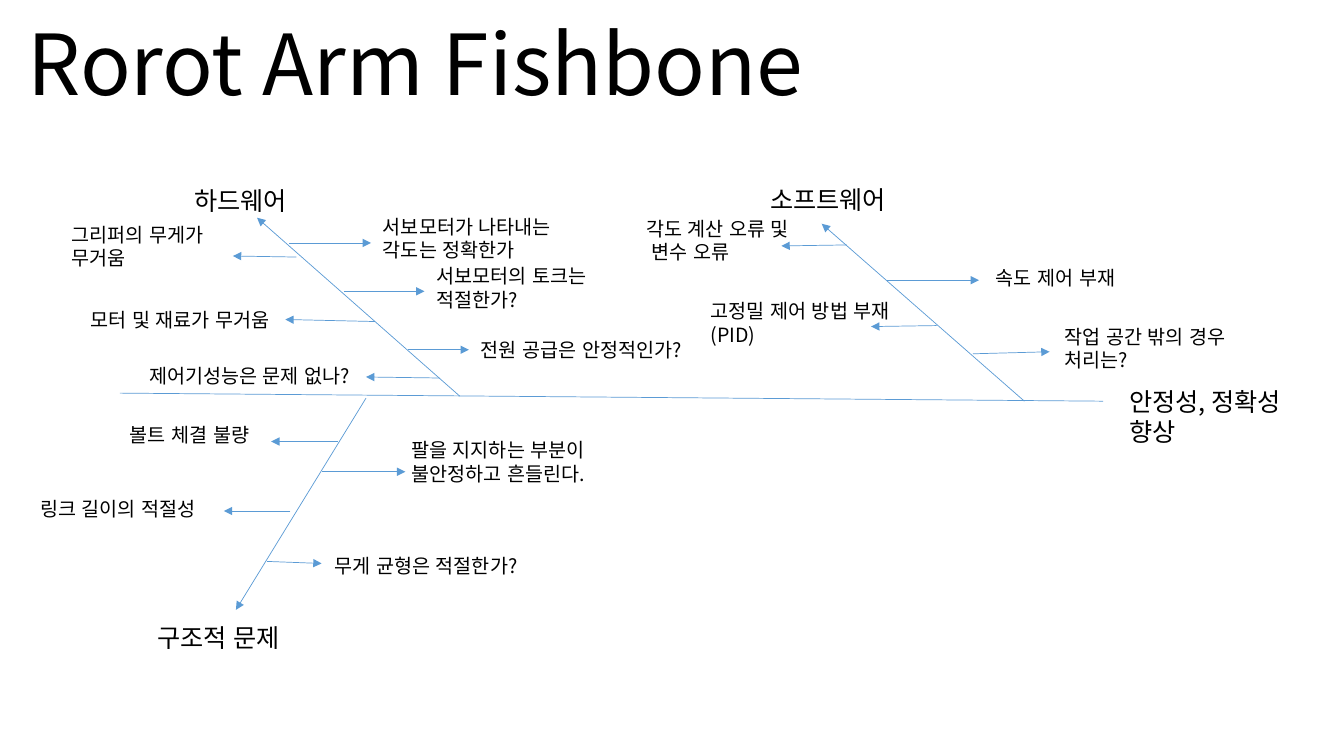
from lxml.etree import SubElement
from pptx import Presentation
from pptx.dml.color import RGBColor
from pptx.enum.lang import MSO_LANGUAGE_ID
from pptx.enum.shapes import MSO_CONNECTOR
from pptx.enum.text import MSO_ANCHOR, MSO_AUTO_SIZE, PP_ALIGN
from pptx.oxml.ns import qn
from pptx.util import Emu, Pt

PX = 9144  # 100 px to the inch
FONT = "Noto Sans CJK KR"
COLORS = {"text": "000000", "line": "5B9BD5", "page": "FFFFFF"}

# Boxes are left, top, width, height; arrows are x1, y1, x2, y2.
# Parts of a branch are relative to the branch box.
BRANCHES = [
    {
        "box": (61, 179, 644, 214),
        "name": "하드웨어", "name_box": (122, 0, 217, 40),
        "bone": (395, 214, 194, 37),
        "causes": [
            ("그리퍼의 무게가 무거움", (0, 37, 179, 57), (233, 76, 170, 75)),
            ("모터 및 재료가 무거움", (19, 122, 217, 34), (311, 140, 222, 138)),
            ("제어기성능은 문제 없나?", (77, 177, 236, 34), (375, 196, 302, 195)),
            ("서보모터가 나타내는 각도는 정확한가", (309, 29, 217, 57), (226, 62, 307, 62)),
            ("서보모터의 토크는 적절한가?", (362, 78, 217, 57), (280, 110, 360, 110)),
            ("전원 공급은 안정적인가?", (406, 151, 238, 34), (344, 168, 404, 168)),
        ],
    },
    {
        "box": (631, 178, 636, 220),
        "name": "소프트웨어", "name_box": (123, 0, 217, 40),
        "bone": (385, 220, 184, 44),
        "causes": [
            ("각도 계산 오류 및\v 변수 오류", (0, 32, 165, 57), (209, 65, 144, 66)),
            ("고정밀 제어 방법 부재\n(PID)", (64, 114, 217, 57), (298, 145, 233, 146)),
            ("속도 제어 부재", (347, 81, 217, 34), (249, 100, 340, 100)),
            ("작업 공간 밖의 경우 처리는?", (415, 139, 221, 57), (334, 173, 410, 171)),
        ],
    },
    {
        "box": (30, 395, 626, 257),
        "name": "구조적 문제", "name_box": (116, 217, 217, 40),
        "bone": (333, 0, 204, 210),
        "causes": [
            ("볼트 체결 불량", (89, 20, 217, 34), (305, 43, 239, 43)),
            ("링크 길이의 적절성", (0, 93, 217, 34), (258, 112, 192, 112)),
            ("팔을 지지하는 부분이 불안정하고 흔들린다.", (368, 35, 258, 57), (289, 73, 372, 73)),
            ("무게 균형은 적절한가?", (292, 150, 217, 34), (235, 162, 289, 164)),
        ],
    },
]


def px(*lengths):
    return [Emu(length * PX) for length in lengths]


def shift(box, left, top):
    return box[0] + left, box[1] + top


def add_text(page, box, text, size=14, align=PP_ALIGN.LEFT, anchor=MSO_ANCHOR.TOP,
             spacing=None, fit=MSO_AUTO_SIZE.SHAPE_TO_FIT_TEXT):
    frame = page.shapes.add_textbox(*px(*box)).text_frame
    frame.word_wrap = True
    frame.auto_size = fit
    frame.vertical_anchor = anchor
    frame.text = text
    for para in frame.paragraphs:
        para.alignment = align
        para.line_spacing = spacing
        for span in para.runs:
            span.font.size = Pt(size)
            span.font.name = FONT
            span.font.language_id = MSO_LANGUAGE_ID.KOREAN
            span.font.color.rgb = RGBColor.from_string(COLORS["text"])
            SubElement(span.font._element, qn("a:ea"), typeface=FONT)


def add_line(page, start, end, arrow=True):
    line = page.shapes.add_connector(MSO_CONNECTOR.STRAIGHT, *px(*start, *end))
    line.line.color.rgb = RGBColor.from_string(COLORS["line"])
    line.line.width = Pt(0.5)
    if arrow:
        SubElement(line.line._get_or_add_ln(), qn("a:tailEnd"), type="triangle")
    SubElement(line._element.spPr, qn("a:effectLst"))


def add_heading(page, box):
    add_text(page, box, "Rorot Arm Fishbone", size=60, align=PP_ALIGN.CENTER,
             anchor=MSO_ANCHOR.BOTTOM, spacing=0.9, fit=MSO_AUTO_SIZE.NONE)


def add_spine(page, box):
    """Draw the spine with the goal at its right end."""
    add_line(page, shift(box, 0, 12), shift(box, 975, 20), arrow=False)
    add_text(page, (*shift(box, 991, 0), 217, 71), "안정성, 정확성 향상", size=18)


def add_branch(page, box, name, name_box, bone, causes):
    """Draw one bone with its name, causes and cause arrows."""
    add_line(page, shift(box, *bone[:2]), shift(box, *bone[2:]))
    add_text(page, (*shift(box, *name_box[:2]), *name_box[2:]), name, size=18)
    for text, place, arrow in causes:
        add_line(page, shift(box, *arrow[:2]), shift(box, *arrow[2:]))
        add_text(page, (*shift(box, *place[:2]), *place[2:]), text)


def main():
    deck = Presentation()
    deck.slide_width, deck.slide_height = px(1333, 750)
    page = deck.slides.add_slide(deck.slide_layouts[6])
    page.background.fill.solid()
    page.background.fill.fore_color.rgb = RGBColor.from_string(COLORS["page"])

    add_heading(page, (-163, -27, 1150, 145))
    add_spine(page, (119, 378, 1208, 71))
    for branch in BRANCHES:
        add_branch(page, **branch)
    deck.save("out.pptx")


if __name__ == "__main__":
    main()
